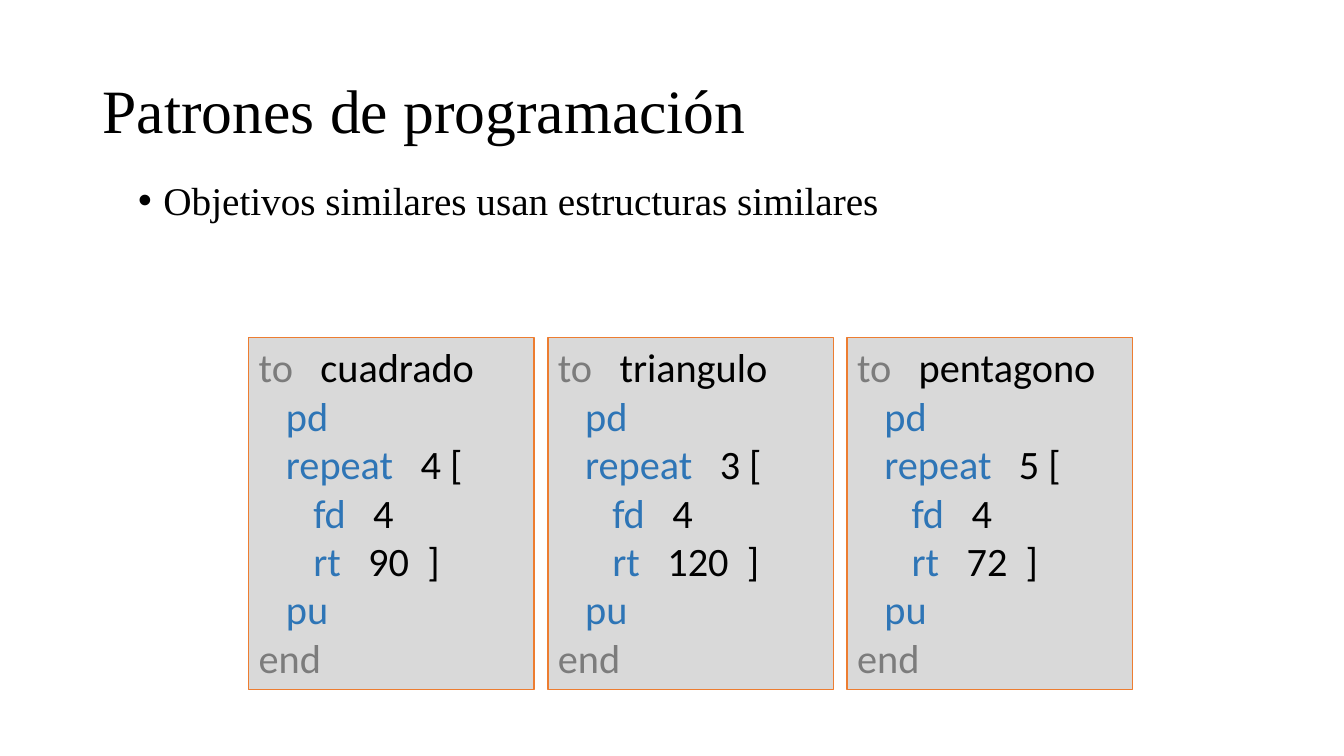
from dataclasses import dataclass

from lxml.etree import SubElement
from pptx import Presentation
from pptx.dml.color import RGBColor
from pptx.enum.shapes import MSO_SHAPE
from pptx.enum.text import MSO_ANCHOR, MSO_AUTO_SIZE, PP_ALIGN
from pptx.oxml.ns import qn
from pptx.util import Cm, Pt


@dataclass(frozen=True)
class Theme:
    black: RGBColor = RGBColor(0x00, 0x00, 0x00)
    keyword: RGBColor = RGBColor(0x7C, 0x7C, 0x7C)
    command: RGBColor = RGBColor(0x2E, 0x75, 0xB6)
    panel: RGBColor = RGBColor(0xD9, 0xD9, 0xD9)
    border: RGBColor = RGBColor(0xED, 0x7D, 0x31)
    text_font: str = "Times New Roman"
    code_font: str = "Calibri"
    title_size: float = 44
    body_size: float = 28
    code_size: float = 28.8


THEME = Theme()
PROGRAMS = [("cuadrado", 4, 90), ("triangulo", 3, 120), ("pentagono", 5, 72)]
PANEL_LEFT, PANEL_TOP, PANEL_STEP = 6.27, 8.51, 7.54
PANEL_WIDTH, PANEL_HEIGHT = 7.19, 8.86


def set_font(paragraph, name, size):
    paragraph.font.name = name
    paragraph.font.size = Pt(size)


def add_text(slide, box, text, size, anchor):
    shape = slide.shapes.add_textbox(*map(Cm, box))
    frame = shape.text_frame
    frame.word_wrap = True
    frame.vertical_anchor = anchor
    paragraph = frame.paragraphs[0]
    paragraph.text = text
    paragraph.line_spacing = 0.9
    return paragraph, size


def style_text(paragraph, size):
    set_font(paragraph, THEME.text_font, size)
    paragraph.font.color.rgb = THEME.black


def add_title(slide, text):
    style_text(*add_text(slide, (2.34, 1.02, 29.21, 3.68), text,
                         THEME.title_size, MSO_ANCHOR.MIDDLE))


def add_bullet(slide, text):
    paragraph, size = add_text(slide, (3.23, 4.45, 27.43, 2.21), text,
                               THEME.body_size, MSO_ANCHOR.TOP)
    properties = paragraph._p.get_or_add_pPr()
    properties.set("marL", str(Cm(0.64)))
    properties.set("indent", str(Cm(-0.64)))
    SubElement(properties, qn("a:buFont"), typeface="Arial")
    SubElement(properties, qn("a:buChar"), char="•")
    style_text(paragraph, size)


def code_lines(name, sides, angle):
    gray, blue, black = THEME.keyword, THEME.command, THEME.black
    return [
        [("to", gray), (f"   {name}", black)],
        [("   pd", blue)],
        [("   repeat", blue), (f"   {sides} [", black)],
        [("      fd", blue), ("   4", black)],
        [("      rt", blue), (f"   {angle}  ]", black)],
        [("   pu", blue)],
        [("end", gray)],
    ]


def add_code_panel(slide, left, lines):
    shape = slide.shapes.add_shape(MSO_SHAPE.RECTANGLE, Cm(left), Cm(PANEL_TOP),
                                   Cm(PANEL_WIDTH), Cm(PANEL_HEIGHT))
    shape.shadow.inherit = False
    shape.fill.solid()
    shape.fill.fore_color.rgb = THEME.panel
    shape.line.color.rgb = THEME.border
    shape.line.width = Pt(1)
    frame = shape.text_frame
    frame.word_wrap = True
    frame.auto_size = MSO_AUTO_SIZE.SHAPE_TO_FIT_TEXT
    frame.vertical_anchor = MSO_ANCHOR.TOP
    for index, line in enumerate(lines):
        paragraph = frame.add_paragraph() if index else frame.paragraphs[0]
        paragraph.alignment = PP_ALIGN.LEFT
        set_font(paragraph, THEME.code_font, THEME.code_size)
        for text, color in line:
            run = paragraph.add_run()
            run.text = text
            run.font.color.rgb = color


def main():
    presentation = Presentation()
    presentation.slide_width = Cm(33.87)
    presentation.slide_height = Cm(19.05)
    slide = presentation.slides.add_slide(presentation.slide_layouts[6])
    add_title(slide, "Patrones de programación")
    add_bullet(slide, "Objetivos similares usan estructuras similares")
    for column, program in enumerate(PROGRAMS):
        add_code_panel(slide, PANEL_LEFT + column * PANEL_STEP, code_lines(*program))
    presentation.save("out.pptx")


if __name__ == "__main__":
    main()
